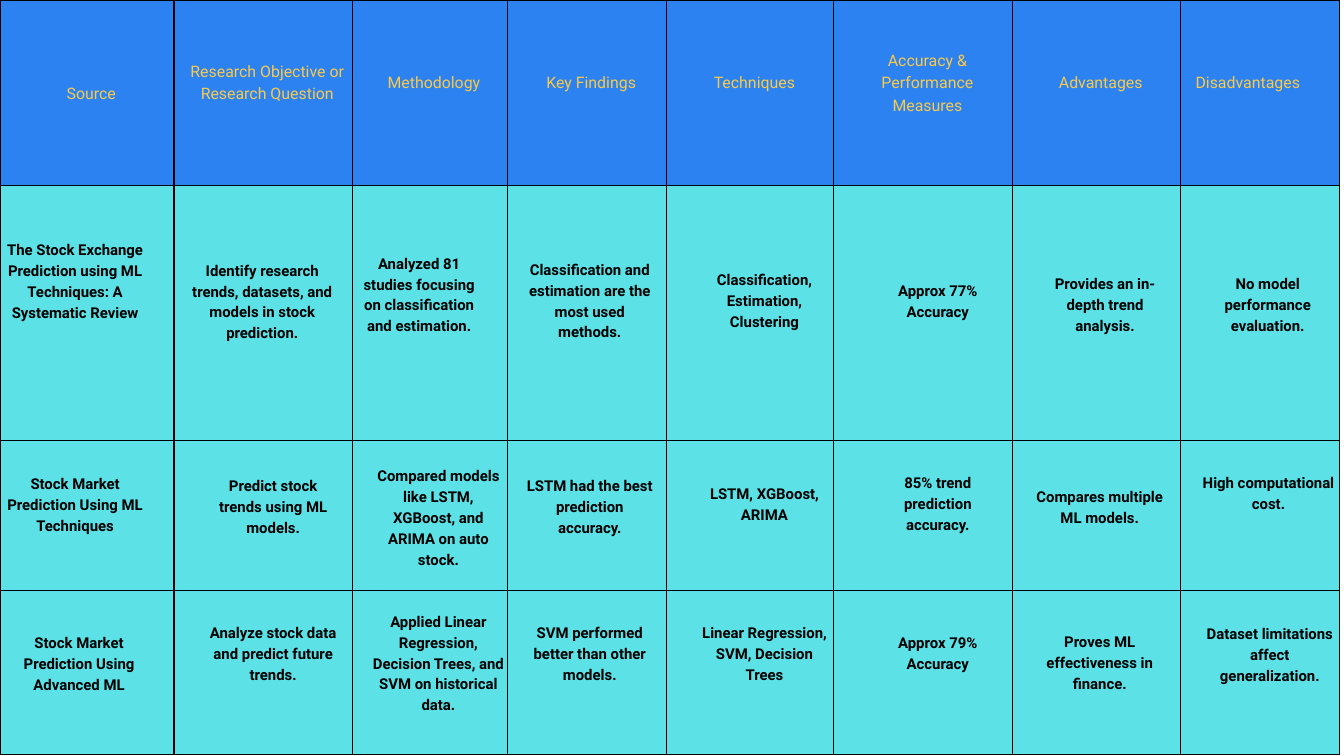
from lxml.etree import SubElement
from pptx import Presentation
from pptx.dml.color import RGBColor
from pptx.enum.text import MSO_ANCHOR, PP_ALIGN
from pptx.oxml.ns import qn
from pptx.util import Pt

FONT = "Roboto"
BLACK, GOLD, BLUE, AQUA = "000000", "FACA49", "2C82F0", "5CE1E6"
COLUMN_WIDTHS = [186.5, 190.8, 166.3, 170.6, 179.3, 191.5, 180, 170]
ROW_HEIGHTS = [198.7, 272.9, 161.3, 175.7]
HEADINGS = [
    "Source", "Research Objective or\nResearch Question", "Methodology", "Key Findings",
    "Techniques", "Accuracy &\nPerformance Measures", "Advantages", "Disadvantages",
]
HEADING_LINE, NOTE_LINE, NOTE_WIDTH = 23.8, 22.4, 143.5
STUDIES = [
    [
        ("The Stock Exchange Prediction using ML Techniques: A Systematic Review", 5, 56, 151, 4),
        ("Identify research trends, datasets, and models in stock prediction.", 11, 78, 167, 4),
        ("Analyzed 81 studies focusing on classification and estimation.", 4.3, 70.5, 135, 4),
        ("Classification and estimation are the most used methods.", 16.6, 77, NOTE_WIDTH, 4),
        ("Classification, Estimation, Clustering", 33.2, 88, NOTE_WIDTH, 3),
        ("Approx 77% Accuracy", 39.6, 99.5, NOTE_WIDTH, 2),
        ("Provides an in-depth trend analysis.", 33, 92, 132, 3),
        ("No model performance evaluation.", 21.6, 92, NOTE_WIDTH, 3),
    ],
    [
        ("Stock Market Prediction Using ML Techniques", 5, 34, 151, 3),
        ("Predict stock trends using ML models.", 34.5, 36, NOTE_WIDTH, 3),
        ("Compared models like LSTM, XGBoost, and ARIMA on auto stock.", 20.7, 25, NOTE_WIDTH, 5),
        ("LSTM had the best prediction accuracy.", 16.6, 36, NOTE_WIDTH, 3),
        ("LSTM, XGBoost, ARIMA", 33.2, 44, NOTE_WIDTH, 2),
        ("85% trend prediction accuracy.", 39.6, 33, NOTE_WIDTH, 3),
        ("Compares multiple ML models.", 21.6, 47.5, NOTE_WIDTH, 2),
        ("High computational cost.", 22.4, 33, NOTE_WIDTH, 2),
    ],
    [
        ("Stock Market Prediction Using Advanced ML", 13, 43, NOTE_WIDTH, 3),
        ("Analyze stock data and predict future trends.", 34.5, 32.5, NOTE_WIDTH, 3),
        ("Applied Linear Regression, Decision Trees, and SVM on historical data.",
         20.7, 20, NOTE_WIDTH, 5),
        ("SVM performed better than other models.", 16.6, 32.5, NOTE_WIDTH, 3),
        ("Linear Regression, SVM, Decision Trees", 33.2, 32.5, NOTE_WIDTH, 3),
        ("Approx 79% Accuracy", 39.6, 43, NOTE_WIDTH, 2),
        ("Proves ML effectiveness in finance.", 21.6, 42, NOTE_WIDTH, 3),
        ("Dataset limitations affect generalization.", 23.8, 33, NOTE_WIDTH, 3),
    ],
]


def color(hex_code):
    """Turn a hex string into a colour."""
    return RGBColor.from_string(hex_code)


def write_line(para, text, size, hex_code, line_height, align, bold=False):
    """Fill a paragraph with one formatted run."""
    para.alignment = align
    para.line_spacing = Pt(line_height)
    span = para.add_run()
    span.text = text
    span.font.name = FONT
    span.font.size = Pt(size)
    span.font.bold = bold
    span.font.color.rgb = color(hex_code)


def style_cell(cell, fill):
    """Give a cell black borders and a plain fill."""
    properties = cell._tc.get_or_add_tcPr()
    for side in ("lnL", "lnR", "lnT", "lnB"):
        border = SubElement(properties, qn(f"a:{side}"), w=str(Pt(1.5)))
        solid = SubElement(border, qn("a:solidFill"))
        SubElement(solid, qn("a:srgbClr"), val=BLACK)
    cell.fill.solid()
    cell.fill.fore_color.rgb = color(fill)


def write_heading(cell, heading):
    """Write a column heading, raised by half a line except for the source."""
    cell.vertical_anchor = MSO_ANCHOR.MIDDLE
    cell.margin_left, cell.margin_right, cell.margin_top = Pt(16), Pt(7), Pt(8)
    cell.margin_bottom = Pt(8 if heading == "Source" else 8 + HEADING_LINE)
    align = PP_ALIGN.LEFT if heading == "Disadvantages" else PP_ALIGN.CENTER
    box = cell.text_frame
    for index, line in enumerate(heading.split("\n")):
        para = box.add_paragraph() if index else box.paragraphs[0]
        write_line(para, line, 17, GOLD, HEADING_LINE, align)


def add_review_grid(page, left, top):
    """Add the table with its headings and coloured cells."""
    frame = page.shapes.add_table(
        len(ROW_HEIGHTS), len(COLUMN_WIDTHS), Pt(left), Pt(top),
        Pt(sum(COLUMN_WIDTHS)), Pt(sum(ROW_HEIGHTS)))
    table = frame.table
    for column, width in zip(table.columns, COLUMN_WIDTHS):
        column.width = Pt(width)
    for index, (row, height) in enumerate(zip(table.rows, ROW_HEIGHTS)):
        row.height = Pt(height)
        for cell in row.cells:
            style_cell(cell, AQUA if index else BLUE)
    for cell, heading in zip(table.rows[0].cells, HEADINGS):
        write_heading(cell, heading)


def add_note(page, left, top, text, width, lines):
    """Add one bold centred note."""
    box = page.shapes.add_textbox(Pt(left), Pt(top), Pt(width), Pt(lines * NOTE_LINE)).text_frame
    box.word_wrap = True
    box.margin_left = box.margin_right = box.margin_top = box.margin_bottom = 0
    write_line(box.paragraphs[0], text, 16, BLACK, NOTE_LINE, PP_ALIGN.CENTER, True)


def add_study_notes(page, left, top):
    """Place every study's notes relative to their grid cells."""
    for row, study in enumerate(STUDIES, 1):
        cell_top = top + sum(ROW_HEIGHTS[:row])
        for column, (text, across, down, width, lines) in enumerate(study):
            cell_left = left + sum(COLUMN_WIDTHS[:column])
            add_note(page, cell_left + across, cell_top + down, text, width, lines)


def main():
    """Build and save the literature review slide."""
    deck = Presentation()
    deck.slide_width, deck.slide_height = Pt(1440), Pt(810)
    page = deck.slides.add_slide(deck.slide_layouts[6])
    add_review_grid(page, 0, 0)
    add_study_notes(page, 0, 0)
    deck.save("out.pptx")


if __name__ == "__main__":
    main()
